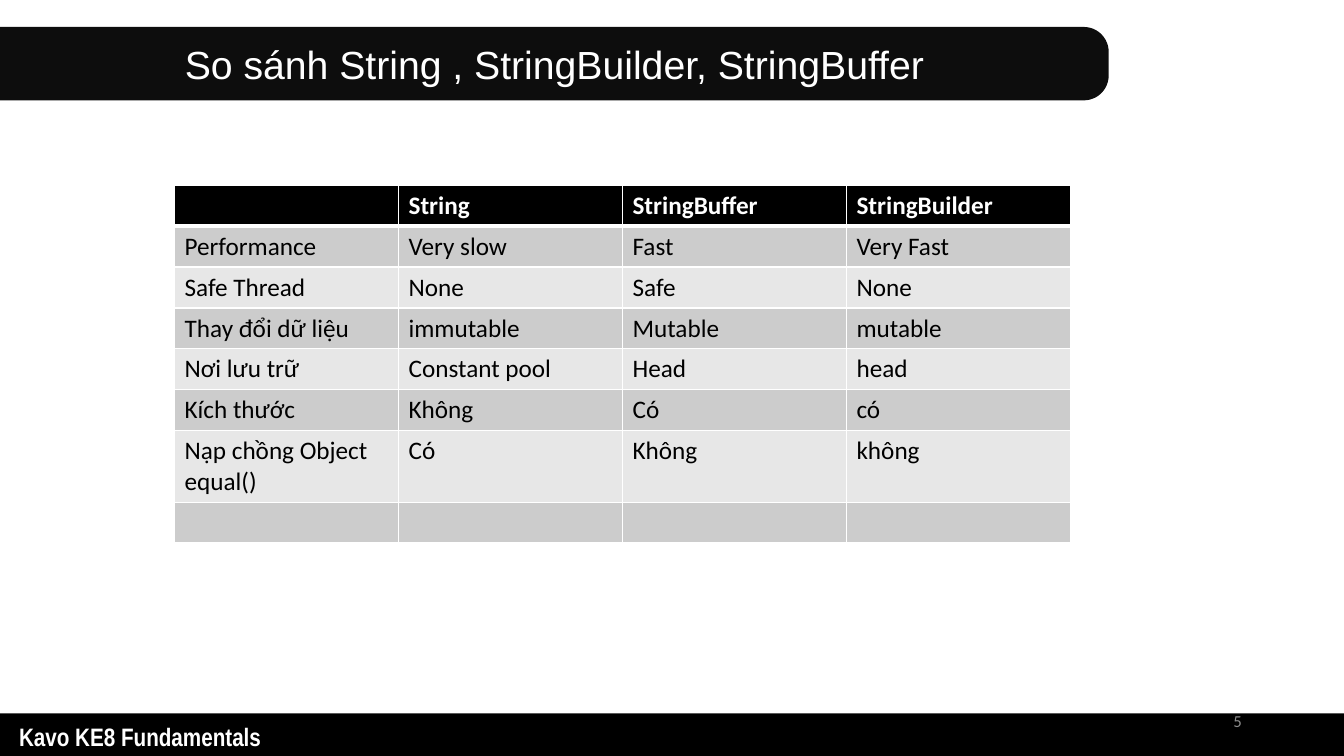
from pptx import Presentation
from pptx.dml.color import RGBColor
from pptx.enum.shapes import MSO_SHAPE as Preset
from pptx.enum.text import MSO_ANCHOR as Anchor, PP_ALIGN as Align
from pptx.oxml import parse_xml
from pptx.oxml.ns import nsdecls
from pptx.util import Cm, Pt

COLORS = {"black": "000000", "banner": "0D0D0D", "white": "FFFFFF",
          "band": "CCCCCC", "light": "E7E7E7", "number": "8C8C8C"}
ROWS = [
    ["", "String", "StringBuffer", "StringBuilder"],
    ["Performance", "Very slow", "Fast", "Very Fast"],
    ["Safe Thread", "None", "Safe", "None"],
    ["Thay đổi dữ liệu", "immutable", "Mutable", "mutable"],
    ["Nơi lưu trữ", "Constant pool", "Head", "head"],
    ["Kích thước", "Không", "Có", "có"],
    ["Nạp chồng Object equal()", "Có", "Không", "không"],
    ["", "", "", ""],
]
ROW_HEIGHT, TALL_HEIGHT, TALL_ROW = 1.03, 1.78, 6


def color(name):
    return RGBColor.from_string(COLORS[name])


def apply(target, values):
    for name, value in values.items():
        setattr(target, name, value)


def write(frame, text, font, size, ink, bold=False, align=Align.LEFT, anchor=Anchor.TOP):
    apply(frame, {"word_wrap": True, "vertical_anchor": anchor})
    para = frame.paragraphs[0]
    para.alignment = align
    span = para.add_run()
    span.text = text
    apply(span.font, {"name": font, "size": Pt(size), "bold": bold})
    span.font.color.rgb = color(ink)


def add_block(page, preset, box, fill):
    block = page.shapes.add_shape(preset, *map(Cm, box))
    block.shadow.inherit = False
    block.fill.solid()
    block.fill.fore_color.rgb = color(fill)
    block.line.fill.background()
    return block


def add_banner(page, box, text):
    left, top, width, height = box
    upright = (left + (width - height) / 2, top + (height - width) / 2, height, width)
    banner = add_block(page, Preset.ROUND_2_SAME_RECTANGLE, upright, "banner")
    banner.rotation = 90
    banner.adjustments[0] = 0.34
    title = page.shapes.title
    apply(title, dict(zip(("left", "top", "width", "height"), map(Cm, box))))
    write(title.text_frame, text, "Arial", 28, "white", align=Align.CENTER, anchor=Anchor.MIDDLE)
    page.shapes._spTree.append(title._element)


def add_border(cell, widths):
    for index, (side, width) in enumerate(widths.items()):
        line = parse_xml(
            f'<a:ln{side} {nsdecls("a")} w="{Pt(width)}"><a:solidFill>'
            f'<a:srgbClr val="{COLORS["white"]}"/></a:solidFill></a:ln{side}>')
        cell._tc.get_or_add_tcPr().insert(index, line)


def add_comparison(page, box):
    table = page.shapes.add_table(len(ROWS), len(ROWS[0]), *map(Cm, box)).table
    for index, row in enumerate(ROWS):
        header = index == 0
        table.rows[index].height = Cm(TALL_HEIGHT if index == TALL_ROW else ROW_HEIGHT)
        fill = "black" if header else "band" if index % 2 else "light"
        widths = {"L": 1, "R": 1, "T": 3 if index == 1 else 1, "B": 3 if header else 1}
        for column, text in enumerate(row):
            cell = table.cell(index, column)
            cell.fill.solid()
            cell.fill.fore_color.rgb = color(fill)
            add_border(cell, widths)
            if text:
                write(cell.text_frame, text, "Calibri", 18,
                      "white" if header else "black", bold=header)


def add_footer(page, box):
    left, top, width, height = box
    add_block(page, Preset.RECTANGLE, box, "black")
    label = page.shapes.add_textbox(Cm(left + 0.23), Cm(top + 0.08), Cm(8.33), Cm(1.02))
    write(label.text_frame, "Kavo KE8 Fundamentals", "Arial Narrow", 18, "white", bold=True)
    number = page.shapes.add_textbox(Cm(left + width - 9.94), Cm(top - 0.33), Cm(7.62), Cm(1.02))
    write(number.text_frame, "5", "Calibri", 12, "number", align=Align.RIGHT, anchor=Anchor.MIDDLE)


deck = Presentation()
apply(deck, {"slide_width": Cm(33.87), "slide_height": Cm(19.05)})
page = deck.slides.add_slide(deck.slide_layouts[5])
add_footer(page, (0, 17.98, 33.87, 1.17))
add_banner(page, (0, 0.68, 27.94, 1.85), "So sánh String , StringBuilder, StringBuffer")
add_comparison(page, (4.4, 4.67, 22.58, 8.99))
deck.save("out.pptx")
